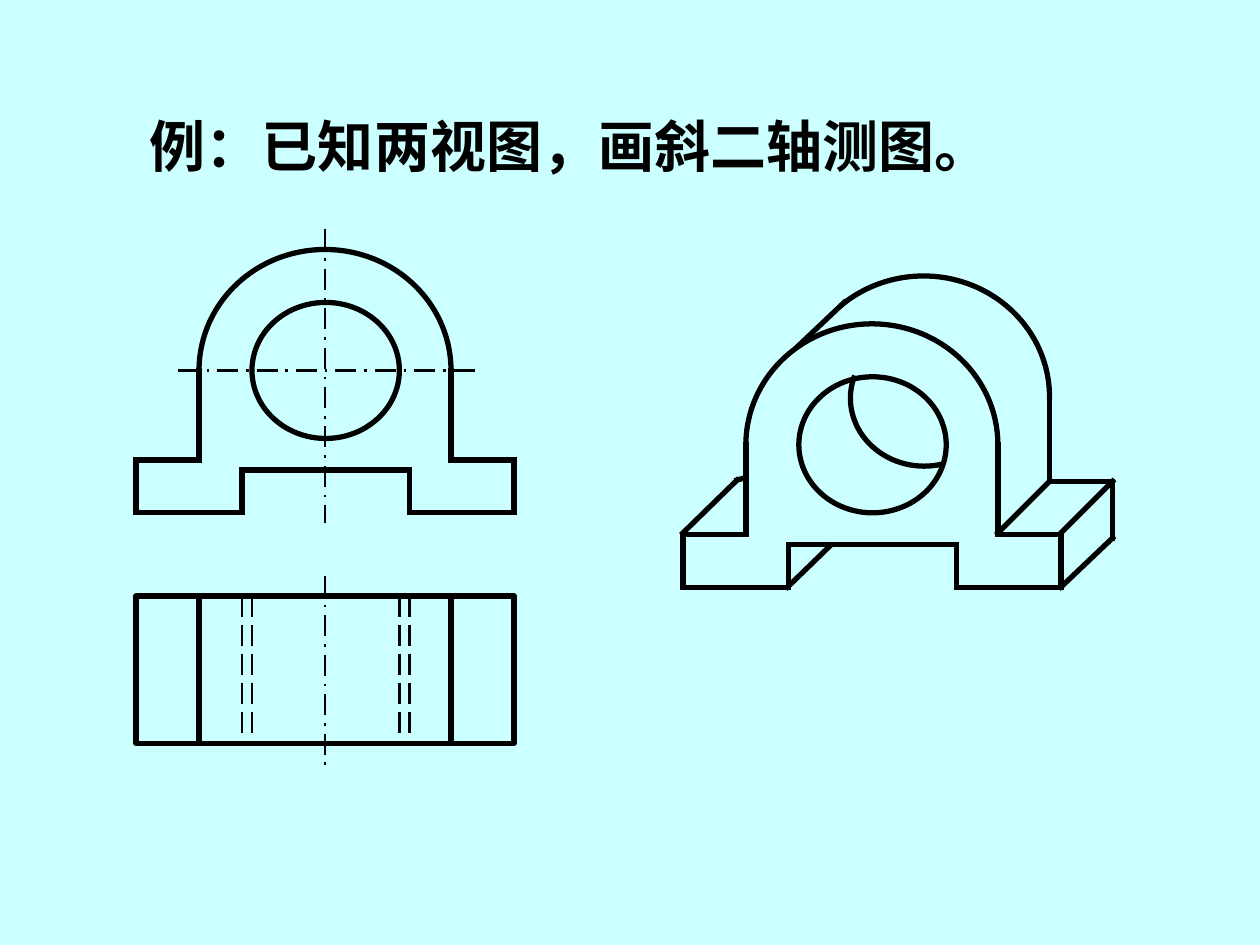
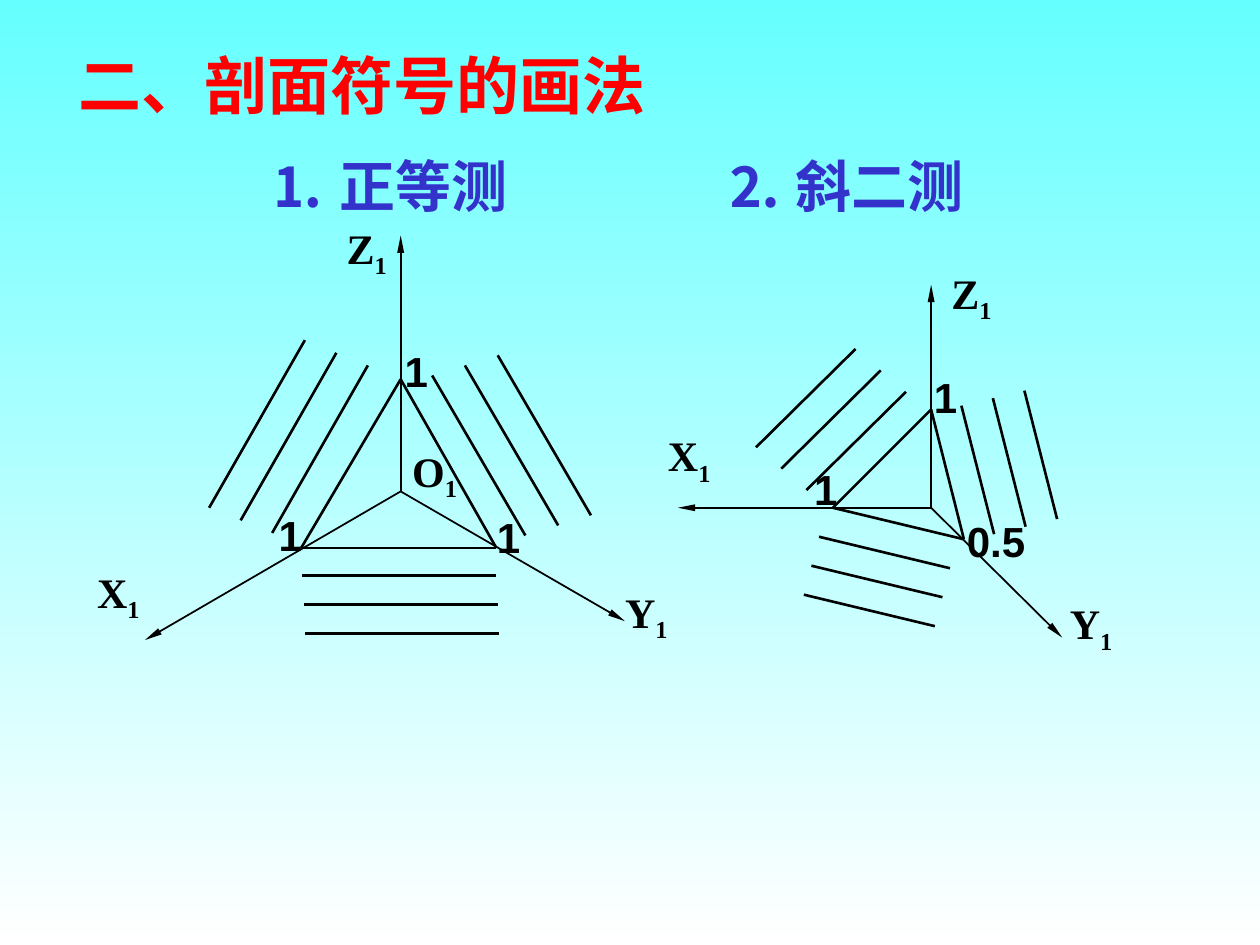
import itertools

import lxml.etree
import pptx
import pptx.dml.color
import pptx.enum.dml
import pptx.enum.shapes
import pptx.enum.text
import pptx.oxml.ns
import pptx.util

Inches = pptx.util.Inches
Pt = pptx.util.Pt
SHAPES = pptx.enum.shapes.MSO_SHAPE
DASHES = pptx.enum.dml.MSO_LINE
ALIGN = pptx.enum.text.PP_ALIGN

COLOURS = {
    "paper": "CCFFFF",
    "sky": "66FFFF",
    "white": "FFFFFF",
    "ink": "000000",
    "title": "FF0000",
    "heading": "3333CC",
}
CHINESE_FONT = "Noto Sans CJK SC"
AXIS_FONT = "Times New Roman"
NUMBER_FONT = "Arial"
OUTLINE = 3
THIN = 1.5
AXIS = 1


def rgb(name):
    return pptx.dml.color.RGBColor.from_string(COLOURS[name])


def add_element(parent, tag, **attributes):
    return lxml.etree.SubElement(parent, pptx.oxml.ns.qn(tag), **attributes)


def add_span(para, text, size, font, colour):
    span = para.add_run()
    span.text = text
    span.font.size = Pt(size)
    span.font.bold = True
    span.font.name = font
    span.font.color.rgb = rgb(colour)
    add_element(span.font._element, "a:ea", typeface=CHINESE_FONT)
    return span


def prepare_text(box, align):
    frame = box.text_frame
    frame.word_wrap = False
    frame.auto_size = pptx.enum.text.MSO_AUTO_SIZE.NONE
    frame.vertical_anchor = pptx.enum.text.MSO_ANCHOR.MIDDLE
    para = frame.paragraphs[0]
    para.alignment = align
    return para


def set_title(page, text, place, size, font, colour):
    title = page.shapes.title
    title.left, title.top, title.width, title.height = map(Inches, place)
    add_span(prepare_text(title, ALIGN.LEFT), text, size, font, colour)


def add_text(page, text, place, size, font, colour="ink", align=ALIGN.CENTER):
    box = page.shapes.add_textbox(*map(Inches, place))
    para = prepare_text(box, align)
    add_span(para, text, size, font, colour)
    return para


def add_axis_label(page, letter, left, top):
    para = add_text(page, letter, (left, top, 0.54, 0.56), 24, AXIS_FONT)
    index = add_span(para, "1", 24, AXIS_FONT, "ink")
    index.font._element.set("baseline", "-25000")


def add_number(page, text, left, top, width=0.39):
    add_text(page, text, (left, top, width, 0.5), 24, NUMBER_FONT)


def add_line(page, start, end, width=OUTLINE, dash=None, arrow=False):
    line = page.shapes.add_connector(
        pptx.enum.shapes.MSO_CONNECTOR.STRAIGHT, *map(Inches, (*start, *end))
    )
    line.line.width = Pt(width)
    line.line.color.rgb = rgb("ink")
    stroke = line.line._get_or_add_ln()
    if dash:
        line.line.dash_style = dash
    elif width == OUTLINE:
        stroke.set("cap", "sq")
    if arrow:
        add_element(stroke, "a:tailEnd", type="triangle", w="sm", len="lg")
    add_element(line._element.spPr, "a:effectLst")


def add_path(page, points, width=OUTLINE):
    for start, end in itertools.pairwise(points):
        add_line(page, start, end, width)


def add_outline(page, kind, place):
    shape = page.shapes.add_shape(kind, *map(Inches, place))
    shape.shadow.inherit = False
    shape.fill.background()
    shape.line.color.rgb = rgb("ink")
    shape.line.width = Pt(OUTLINE)
    return shape


def add_cover(page, kind, place):
    cover = add_outline(page, kind, place)
    cover.fill.solid()
    cover.fill.fore_color.rgb = rgb("paper")
    cover.line.color.rgb = rgb("paper")
    return cover


def add_arch(page, left, top):
    add_outline(page, SHAPES.OVAL, (left, top, 2, 1.92))
    add_cover(page, SHAPES.RECTANGLE, (left - 0.16, top + 1, 2.33, 1.12))


def add_front_face(page, left, top):
    add_arch(page, left + 0.5, top)
    add_outline(page, SHAPES.OVAL, (left + 0.92, top + 0.42, 1.17, 1.08))
    profile = [
        (0.5, 0.96), (0.5, 1.67), (0, 1.67), (0, 2.09), (0.84, 2.09),
        (0.84, 1.75), (2.17, 1.75), (2.17, 2.09), (3, 2.09), (3, 1.67),
        (2.5, 1.67), (2.5, 0.96),
    ]
    add_path(page, [(left + x, top + y) for x, y in profile])


def add_top_view(page):
    top, bottom = 4.73, 5.9
    add_outline(page, SHAPES.RECTANGLE, (1.08, top, 3, bottom - top))
    for x in (1.58, 3.58):
        add_line(page, (x, top), (x, bottom))
    for x in (1.92, 2, 3.17, 3.25):
        add_line(page, (x, top), (x, bottom), THIN, DASHES.LONG_DASH)


def add_centre_lines(page):
    for start, end in (
        ((1.41, 2.94), (3.79, 2.94)),
        ((2.58, 1.82), (2.58, 4.15)),
        ((2.58, 4.57), (2.58, 6.07)),
    ):
        add_line(page, start, end, THIN, DASHES.LONG_DASH_DOT)


def add_oblique_view(page):
    add_arch(page, 6.33, 2.19)
    corner = add_cover(page, SHAPES.RIGHT_TRIANGLE, (5.83, 2.4, 0.83, 1))
    corner._element.spPr.xfrm.set("flipH", "1")
    add_front_face(page, 5.42, 2.57)
    for edge in (
        [(8.33, 3.15), (8.33, 3.82), (8.83, 3.82), (8.83, 4.27), (8.42, 4.66)],
        [(7.92, 4.23), (8.33, 3.82)],
        [(8.42, 4.23), (8.83, 3.82)],
        [(6.25, 4.66), (6.59, 4.33)],
        [(5.42, 4.23), (5.85, 3.81), (5.92, 3.79)],
        [(6.33, 2.75), (6.7, 2.4)],
    ):
        add_path(page, edge)
    bore = add_outline(page, SHAPES.ARC, (6.75, 2.62, 1.17, 1.08))
    for index, degrees in enumerate((75, 198)):
        bore.adjustments[index] = degrees * 0.6


def add_axes(page, origin, tips):
    for tip in tips:
        add_line(page, origin, tip, AXIS, arrow=True)


def add_hatching(page, start, end, step):
    for count in range(3):
        shift_x, shift_y = (count * part for part in step)
        add_line(
            page,
            (start[0] + shift_x, start[1] + shift_y),
            (end[0] + shift_x, end[1] + shift_y),
            THIN,
        )


def add_isometric_symbols(page):
    add_axes(page, (3.18, 3.9), [(3.18, 1.87), (1.15, 5.08), (4.96, 4.93)])
    for letter, left, top in (
        ("Y", 4.86, 4.6), ("X", 0.67, 4.44), ("Z", 2.64, 1.71), ("O", 3.18, 3.48),
    ):
        add_axis_label(page, letter, left, top)
    add_path(page, [(3.18, 3.01), (2.39, 4.35), (3.94, 4.35), (3.18, 3.01)], THIN)
    add_hatching(page, (2.92, 2.9), (2.16, 4.23), (-0.25, -0.1))
    add_hatching(page, (3.43, 2.98), (4.17, 4.25), (0.26, -0.08))
    add_hatching(page, (2.4, 4.57), (3.94, 4.57), (0.01, 0.23))
    for left, top in ((3.11, 2.69), (3.84, 4.01), (2.11, 3.99)):
        add_number(page, "1", left, top)


def add_oblique_symbols(page):
    add_axes(page, (7.39, 4.03), [(5.38, 4.03), (7.39, 2.26), (8.43, 5.06)])
    for letter, left, top in (("Z", 7.44, 2.07), ("X", 5.2, 3.36), ("Y", 8.39, 4.69)):
        add_axis_label(page, letter, left, top)
    add_path(page, [(7.39, 3.25), (6.61, 4.03), (7.65, 4.28), (7.39, 3.25)], THIN)
    add_hatching(page, (7.19, 3.11), (6.4, 3.89), (-0.2, -0.17))
    add_hatching(page, (7.63, 3.22), (7.89, 4.24), (0.25, -0.06))
    add_hatching(page, (6.5, 4.26), (7.54, 4.51), (-0.06, 0.23))
    for left, top in ((7.31, 2.9), (6.36, 3.63)):
        add_number(page, "1", left, top)
    add_number(page, "0.5", 7.57, 4.04, 0.67)


def build_example_page(page):
    fill = page.background.fill
    fill.solid()
    fill.fore_color.rgb = rgb("paper")
    set_title(page, "例：已知两视图，画斜二轴测图。", (1.09, 0.83, 6.95, 0.64),
              32, AXIS_FONT, "ink")
    add_oblique_view(page)
    add_front_face(page, 1.08, 1.98)
    add_top_view(page)
    add_centre_lines(page)


def build_section_page(page):
    fill = page.background.fill
    fill.gradient()
    fill.gradient_angle = 270
    for stop, colour in zip(fill.gradient_stops, ("sky", "white")):
        stop.color.rgb = rgb(colour)
    set_title(page, "二、剖面符号的画法", (0.52, 0.32, 4.9, 0.7),
              36, CHINESE_FONT, "title")
    for text, left, align in (
        ("⒈ 正等测", 2.05, ALIGN.LEFT),
        ("⒉ 斜二测", 5.67, ALIGN.CENTER),
    ):
        add_text(page, text, (left, 1.15, 2.08, 0.64), 32, CHINESE_FONT, "heading", align)
    add_isometric_symbols(page)
    add_oblique_symbols(page)


def main():
    deck = pptx.Presentation()
    deck.slide_width = Inches(10)
    deck.slide_height = Inches(7.5)
    for build in (build_example_page, build_section_page):
        build(deck.slides.add_slide(deck.slide_layouts[5]))
    deck.save("out.pptx")


if __name__ == "__main__":
    main()
